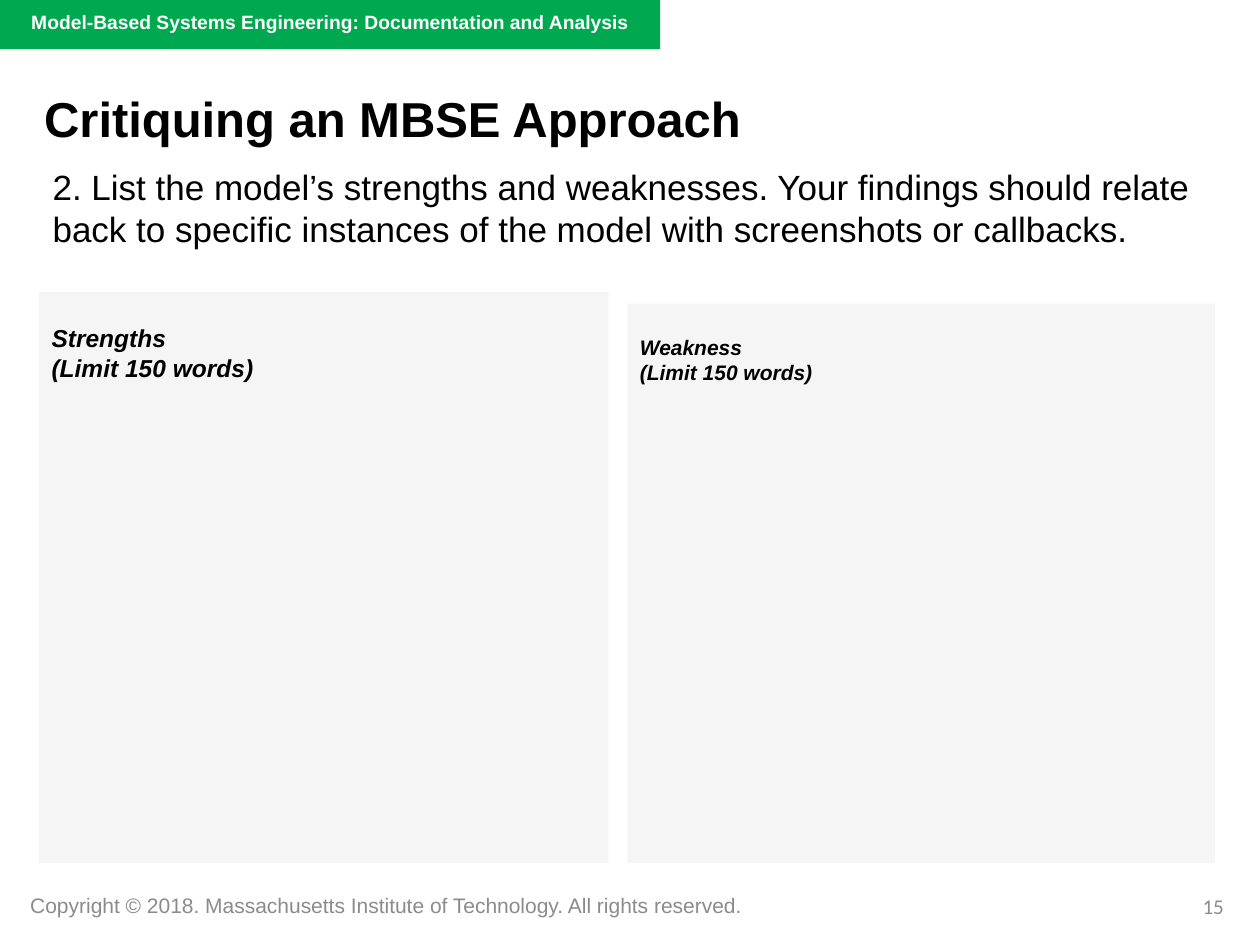
from lxml import etree
from pptx import Presentation
from pptx.dml.color import RGBColor
from pptx.enum.shapes import MSO_SHAPE as SHAPE
from pptx.enum.text import MSO_ANCHOR as ANCHOR, PP_ALIGN as ALIGN
from pptx.oxml.ns import qn
from pptx.util import Cm, Pt

BLACK, WHITE, GREEN, GREY, PANEL = "000000", "FFFFFF", "00A94F", "8A8B8C", "A6A6A6"
PANEL_ALPHA = 10
PANEL_BOTTOM = 17.4
PANEL_INSET = 0.63

BANNER = (-0.03, 0, 13.34, 0.99)
TITLE = ("Critiquing an MBSE Approach", (0.64, 1.65, 20.5, 1.47))
TEXTS = [
    ("Copyright © 2018. Massachusetts Institute of Technology. All rights reserved.",
     (0.36, 17.86, 15.14, 0.76), dict(size=12, color=GREY, wrap=False)),
    ("Model-Based Systems Engineering: Documentation and Analysis",
     (0.38, 0.08, 13.31, 1.47), dict(size=11, color=WHITE, bold=True)),
    ("15", (19, 17.88, 5.92, 1.02),
     dict(size=12, color=GREY, name="Calibri", align=ALIGN.RIGHT)),
    ("2. List the model’s strengths and weaknesses. Your findings should relate "
     "back to specific instances of the model with screenshots or callbacks.",
     (0.81, 3.2, 23.7, 2.9), dict(size=20)),
]
PANELS = [
    ("Strengths", 0.79, 5.89, 11.48, 14),
    ("Weakness", 12.65, 6.12, 11.84, 12),
]
LIMIT = "(Limit 150 words)"


def rgb(value):
    return RGBColor.from_string(value)


def write(sp, lines, size, color=BLACK, name="Arial", align=ALIGN.LEFT,
          wrap=True, anchor=ANCHOR.TOP, top=0.13, **style):
    tf = sp.text_frame
    frame = dict(word_wrap=wrap, vertical_anchor=anchor, margin_left=Cm(0.25),
                 margin_right=Cm(0.25), margin_top=Cm(top), margin_bottom=Cm(0.13))
    for key, value in frame.items():
        setattr(tf, key, value)
    for i, line in enumerate(lines):
        p = tf.paragraphs[0] if i == 0 else tf.add_paragraph()
        p.alignment = align
        r = p.add_run()
        r.text = line
        for key, value in dict(name=name, size=Pt(size), **style).items():
            setattr(r.font, key, value)
        r.font.color.rgb = rgb(color)


def add_box(s, box, fill, alpha=None):
    sp = s.shapes.add_shape(SHAPE.RECTANGLE, *map(Cm, box))
    sp.shadow.inherit = False
    sp.line.fill.background()
    sp.fill.solid()
    sp.fill.fore_color.rgb = rgb(fill)
    if alpha is not None:
        clr = sp._element.spPr.find(qn("a:solidFill"))[0]
        etree.SubElement(clr, qn("a:alpha")).set("val", str(alpha * 1000))
    return sp


def main():
    prs = Presentation()
    prs.slide_width, prs.slide_height = Cm(25.4), Cm(19.05)
    s = prs.slides.add_slide(prs.slide_layouts[6])

    add_box(s, BANNER, GREEN)
    title, box = TITLE
    write(add_box(s, box, WHITE), [title], 28, bold=True, anchor=ANCHOR.MIDDLE)
    for text, box, style in TEXTS:
        write(s.shapes.add_textbox(*map(Cm, box)), [text], **style)
    for heading, left, top, width, size in PANELS:
        sp = add_box(s, (left, top, width, PANEL_BOTTOM - top), PANEL, PANEL_ALPHA)
        write(sp, [heading, LIMIT], size, top=PANEL_INSET, bold=True, italic=True)

    prs.save("out.pptx")


if __name__ == "__main__":
    main()
